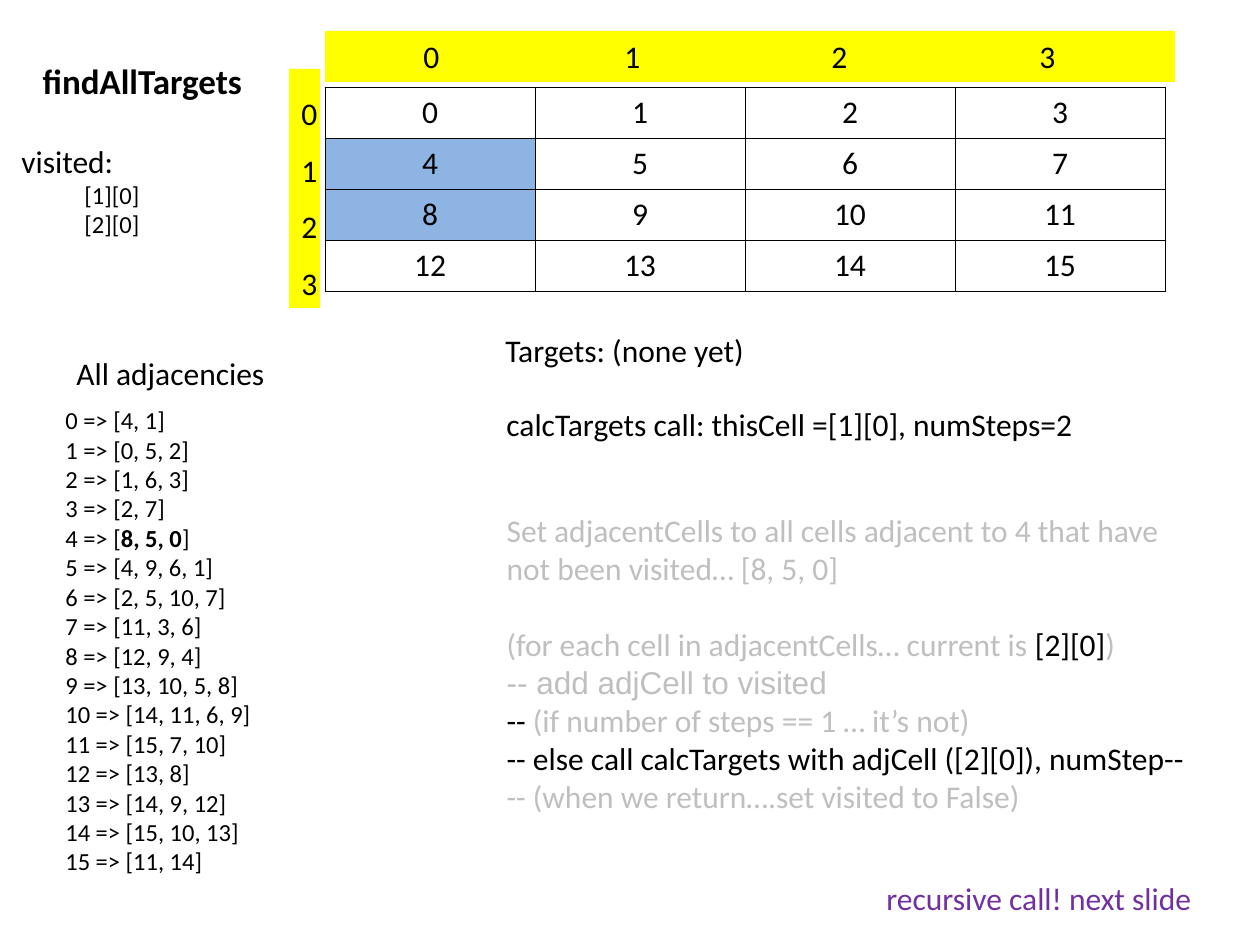
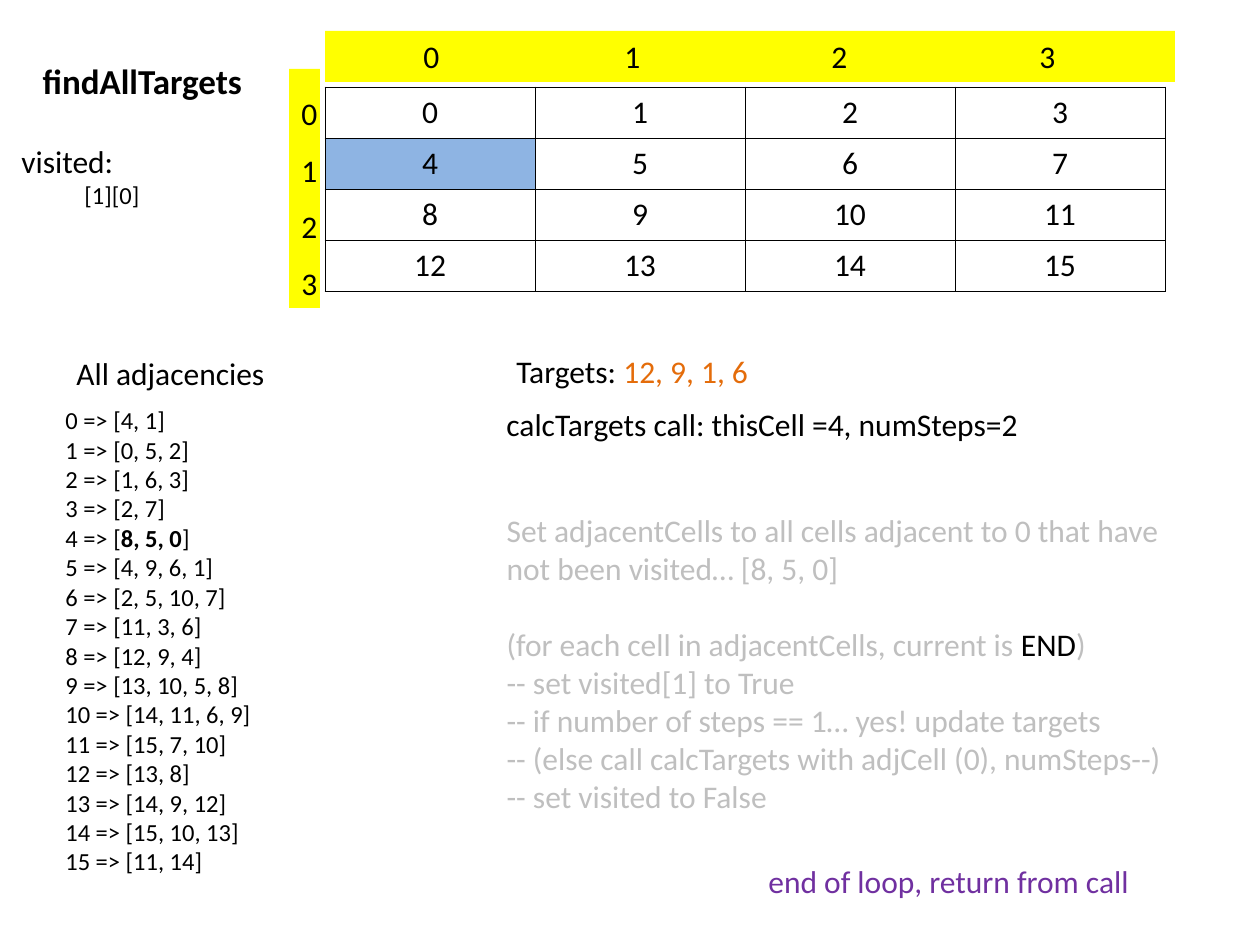
from pptx import Presentation
from pptx.dml.color import RGBColor
from pptx.enum.text import MSO_ANCHOR as Anchor, MSO_AUTO_SIZE as AutoSize, PP_ALIGN as Align
from pptx.oxml.ns import qn
from pptx.util import Pt
from lxml.etree import SubElement

BLACK = RGBColor(0x00, 0x00, 0x00)
WHITE = RGBColor(0xFF, 0xFF, 0xFF)
YELLOW = RGBColor(0xFF, 0xFF, 0x00)
BLUE = RGBColor(0x8E, 0xB4, 0xE3)
GREY = RGBColor(0xBF, 0xBF, 0xBF)
PURPLE = RGBColor(0x70, 0x30, 0xA0)
ORANGE = RGBColor(0xE4, 0x6C, 0x0A)

SIDE = 4
INSET = 13
PLAIN = {"name": "Calibri", "size": Pt(18), "bold": False, "color": BLACK}
SMALL = {"size": Pt(14)}
HEADING = {"size": Pt(20), "bold": True}
FADED = {"color": GREY}
NOTE = {"color": PURPLE}

HEADER_TABS = (86, 287, 494, 702)
ADJACENCIES = (
    "4, 1", "0, 5, 2", "1, 6, 3", "2, 7", "8, 5, 0", "4, 9, 6, 1", "2, 5, 10, 7", "11, 3, 6",
    "12, 9, 4", "13, 10, 5, 8", "14, 11, 6, 9", "15, 7, 10", "13, 8", "14, 9, 12",
    "15, 10, 13", "11, 14",
)
CURRENT_CELL = 4

PAGES = (
    {
        "visited": ("[1][0]", "[2][0]"),
        "shaded": (4, 8),
        "targets": [("Targets: (none yet)", {})],
        "targets_box": (493, 325, 267, 50),
        "call": "calcTargets call: thisCell =[1][0], numSteps=2",
        "steps": (
            [("Set adjacentCells to all cells adjacent to 4 that have not been visited… [8, 5, 0]", FADED)],
            [("(for each cell in adjacentCells… current is ", FADED), ("[2][0]", {}), (")", FADED)],
            [("-- add adjCell to visited", {**FADED, "name": "Arial"})],
            [("-- ", {}), ("(if number of steps == 1 … it’s not)", FADED)],
            [("-- else call calcTargets with adjCell ([2][0]), numStep--", {})],
            [("-- (when we return….set visited to False)", FADED)],
        ),
        "note": "recursive call! next slide",
        "note_box": (874, 873, 334, 50),
    },
    {
        "visited": ("[1][0]",),
        "shaded": (4,),
        "targets": [("Targets: ", {}), ("12, 9, 1, 6", {"color": ORANGE})],
        "targets_box": (504, 346, 262, 50),
        "call": "calcTargets call: thisCell =4, numSteps=2",
        "steps": (
            [("Set adjacentCells to all cells adjacent to 0 that have not been visited… [8, 5, 0]", FADED)],
            [("(for each cell in adjacentCells, current is ", FADED), ("END", {}), (")", FADED)],
            [("-- set visited[1] to True", FADED)],
            [("-- if number of steps == 1… yes! update targets", FADED)],
            [("-- (else call calcTargets with adjCell (0), numSteps--)", FADED)],
            [("-- set visited to False", FADED)],
        ),
        "note": "end of loop, return from call",
        "note_box": (756, 856, 483, 50),
    },
)


def px(length):
    """Turn a length in px into EMU."""
    return round(length * 914400 / 126)


def place(shape, box):
    """Move a shape to a box given in px."""
    for side, length in zip(("left", "top", "width", "height"), box):
        setattr(shape, side, px(length))


def write(frame, paragraphs, **layout):
    """Fill a text frame with paragraphs, each a list of (text, format) spans."""
    frame.word_wrap = True
    for index, spans in enumerate(paragraphs):
        para = frame.add_paragraph() if index else frame.paragraphs[0]
        for name, value in layout.items():
            setattr(para, name, value)
        for text, style in spans:
            span = para.add_run()
            span.text = text
            for name, value in {**PLAIN, **style}.items():
                if name == "color":
                    span.font.color.rgb = value
                else:
                    setattr(span.font, name, value)
    return frame.paragraphs


def add_text(page, box, paragraphs, fill=None, **layout):
    """Add a text box, filled if a colour is given, and return its paragraphs."""
    shape = page.shapes.add_textbox(*map(px, box))
    if fill is not None:
        shape.fill.solid()
        shape.fill.fore_color.rgb = fill
    return write(shape.text_frame, paragraphs, **layout)


def fill_placeholder(shape, box, paragraphs):
    """Write unbulleted, left-aligned text in a moved placeholder."""
    place(shape, box)
    frame = shape.text_frame
    frame.auto_size = AutoSize.NONE
    frame.vertical_anchor = Anchor.TOP
    paras = write(frame, paragraphs, alignment=Align.LEFT, space_before=Pt(0))
    for para in paras:
        properties = para._p.get_or_add_pPr()
        properties.set("marL", "0")
        properties.set("indent", "0")
        SubElement(properties, qn("a:buNone"))
    return paras


def outline_cell(cell):
    """Draw thin black borders on the four sides of a cell."""
    properties = cell._tc.get_or_add_tcPr()
    for index, side in enumerate(("lnL", "lnR", "lnT", "lnB")):
        line = properties.makeelement(qn(f"a:{side}"), {"w": str(Pt(0.45))})
        properties.insert(index, line)
        fill = SubElement(line, qn("a:solidFill"))
        SubElement(fill, qn("a:srgbClr"), val=str(BLACK))


def add_board(page, box, shaded):
    """Draw the numbered cells with their yellow row and column labels."""
    left, top, width, height = box
    table = page.shapes.add_table(SIDE, SIDE, *map(px, box)).table
    table.first_row = table.horz_banding = False
    for column in table.columns:
        column.width = px(width // SIDE)
    for row in table.rows:
        row.height = px(height // SIDE)
    for number, cell in enumerate(table.iter_cells()):
        cell.fill.solid()
        cell.fill.fore_color.rgb = BLUE if number in shaded else WHITE
        outline_cell(cell)
        write(cell.text_frame, [[(str(number), {})]], alignment=Align.CENTER)

    labels = [str(number) for number in range(SIDE)]
    header_text = "".join("\t" + label for label in labels)
    header, = add_text(page, (left, top - 56, width + 10, 51), [[(header_text, {})]], YELLOW)
    tabs = SubElement(header._p.get_or_add_pPr(), qn("a:tabLst"))
    for stop in HEADER_TABS:
        SubElement(tabs, qn("a:tab"), pos=str(px(stop)), algn="l")
    add_text(page, (left - 36, top - 18, 31, height + 35),
             [[(label, {})] for label in labels], YELLOW, line_spacing=1.5)


def add_visited(page, box, visited):
    """List the visited cells, indented below their label."""
    cells = [[(cell, SMALL)] for cell in visited]
    paras = add_text(page, box, [[("visited:", {})], *cells])
    for para in paras[1:]:
        para._p.get_or_add_pPr().set("marL", str(px(63)))


def add_adjacencies(page, box):
    """List the neighbours of every cell below a heading."""
    left, top, width, height = box
    add_text(page, (left + 11, top, width, 50), [[("All adjacencies", {})]])
    lines = [
        [(f"{cell} => [", SMALL), (near, {**SMALL, "bold": cell == CURRENT_CELL}), ("]", SMALL)]
        for cell, near in enumerate(ADJACENCIES)
    ]
    add_text(page, (left, top + 51, width, height - 51), lines)


def add_steps(page, box, steps):
    """Write the steps of the call in the body placeholder, with a gap before the loop."""
    paras = fill_placeholder(page.placeholders[1], box, steps)
    paras[1].space_before = Pt(22)


def add_page(deck, content):
    """Build one slide of the walk through the recursive calls."""
    page = deck.slides.add_slide(deck.slide_layouts[1])
    fill_placeholder(page.shapes.title, (30, 53, 230, 55), [[("findAllTargets", HEADING)]])
    add_board(page, (325, 87, 840, 204), content["shaded"])
    add_visited(page, (9, 136, 222, 44 + 37 * len(content["visited"])), content["visited"])
    add_adjacencies(page, (53, 348, 213, 535))
    add_text(page, content["targets_box"], [content["targets"]])
    add_text(page, (494, 399, 596, 50), [[(content["call"], {})]])
    add_steps(page, (494, 505, 725, 315), content["steps"])
    add_text(page, content["note_box"], [[(content["note"], NOTE)]])


def main():
    """Build and save the deck."""
    deck = Presentation()
    deck.slide_width, deck.slide_height = px(1260), px(945)
    for content in PAGES:
        add_page(deck, content)
    deck.save("out.pptx")


if __name__ == "__main__":
    main()
